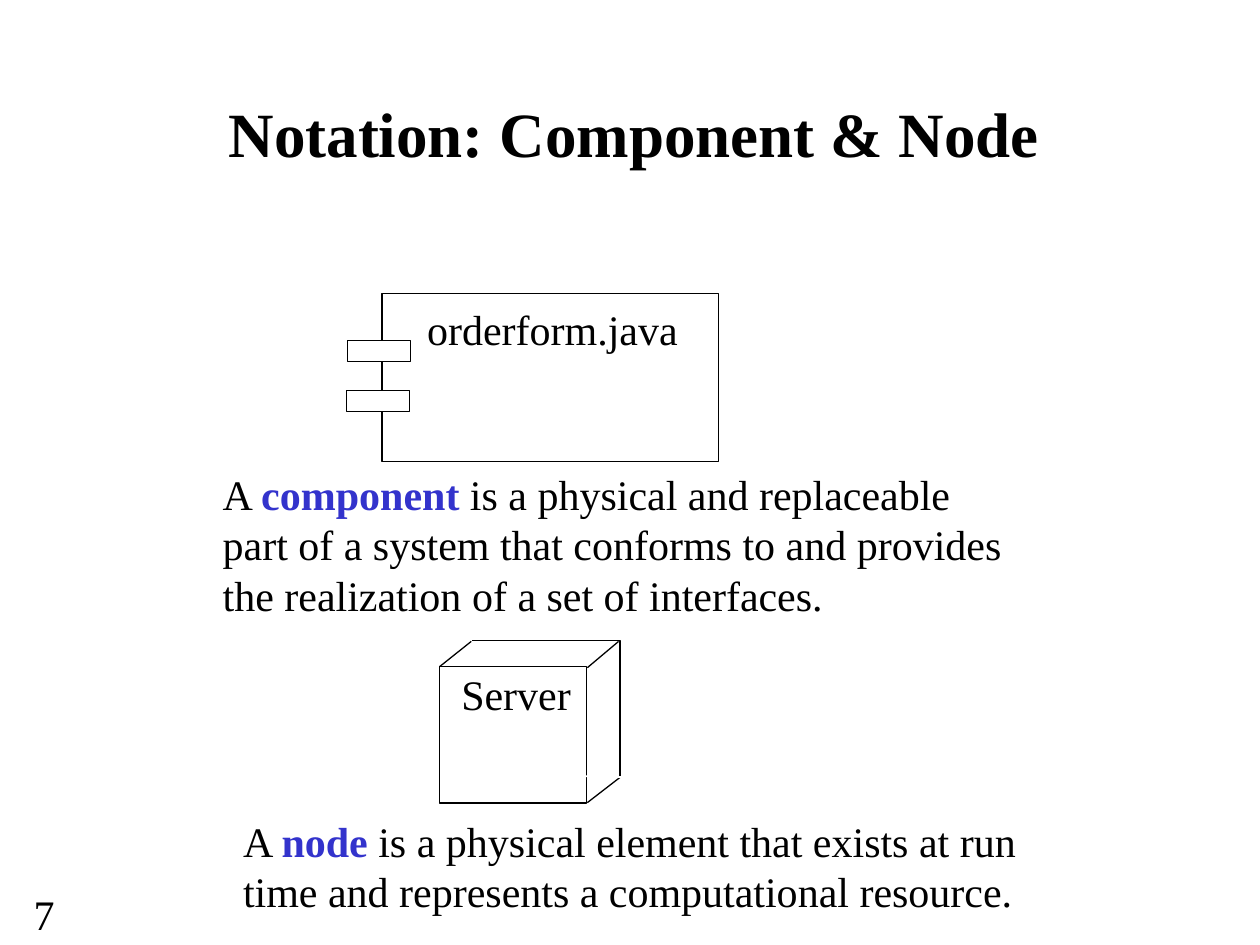
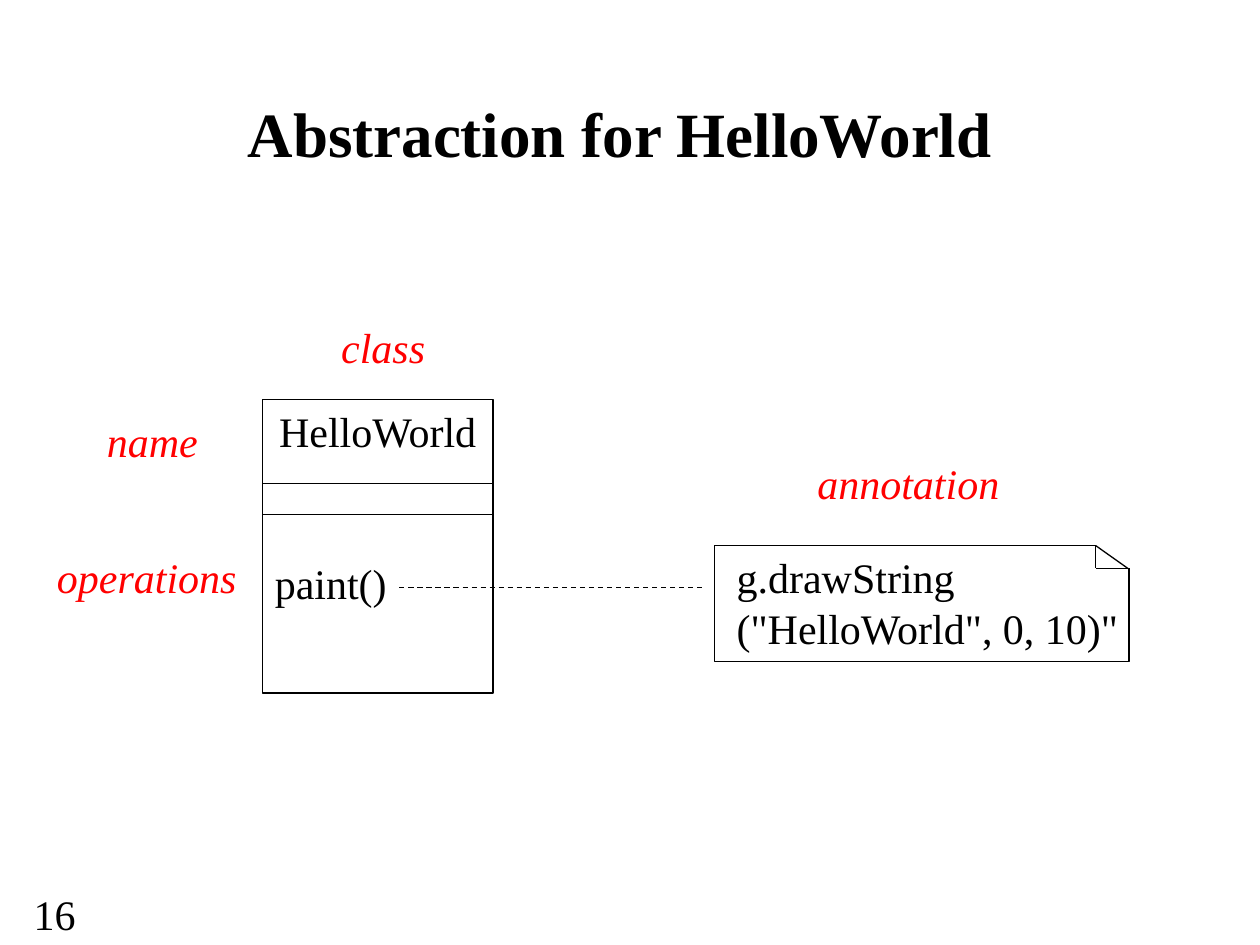
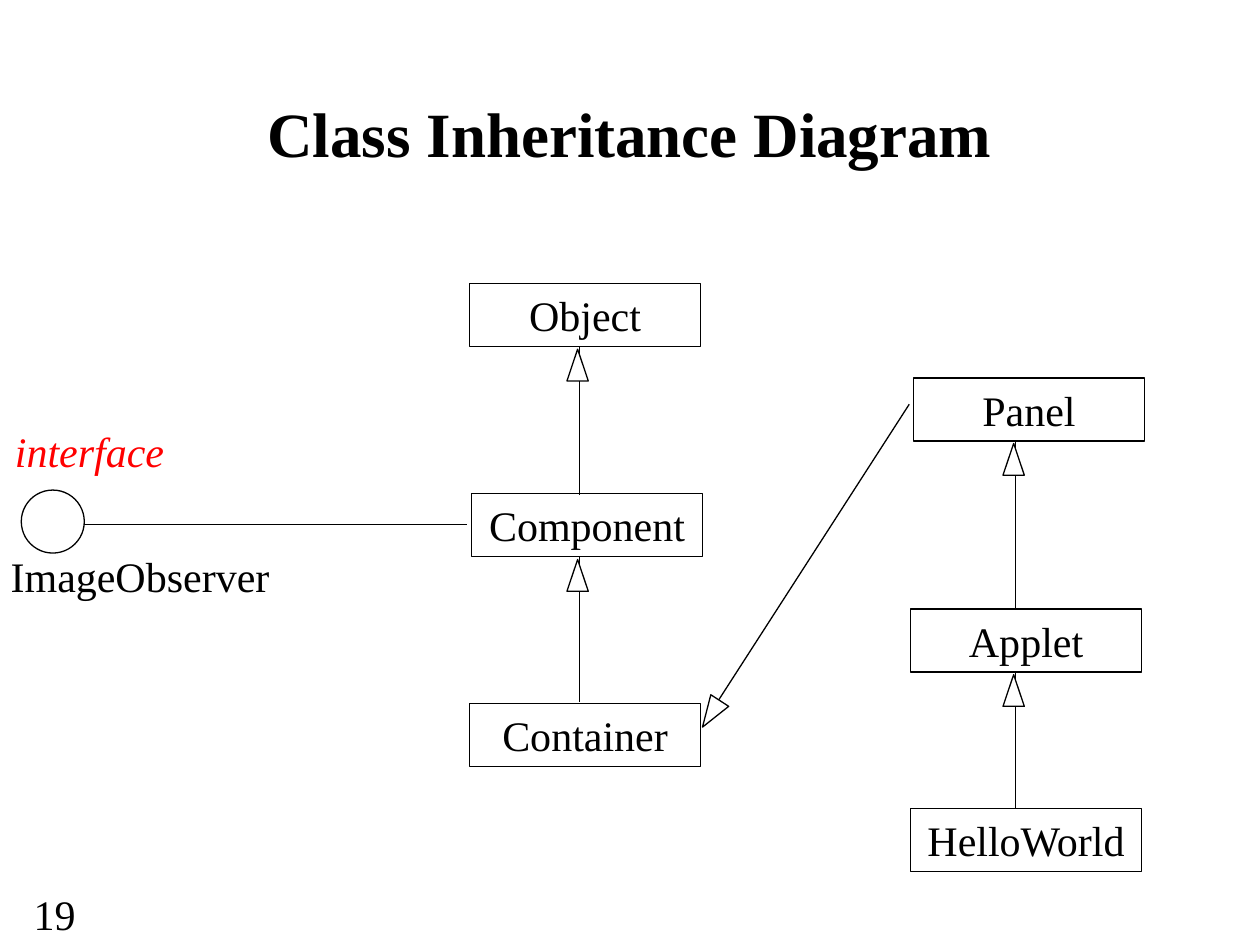
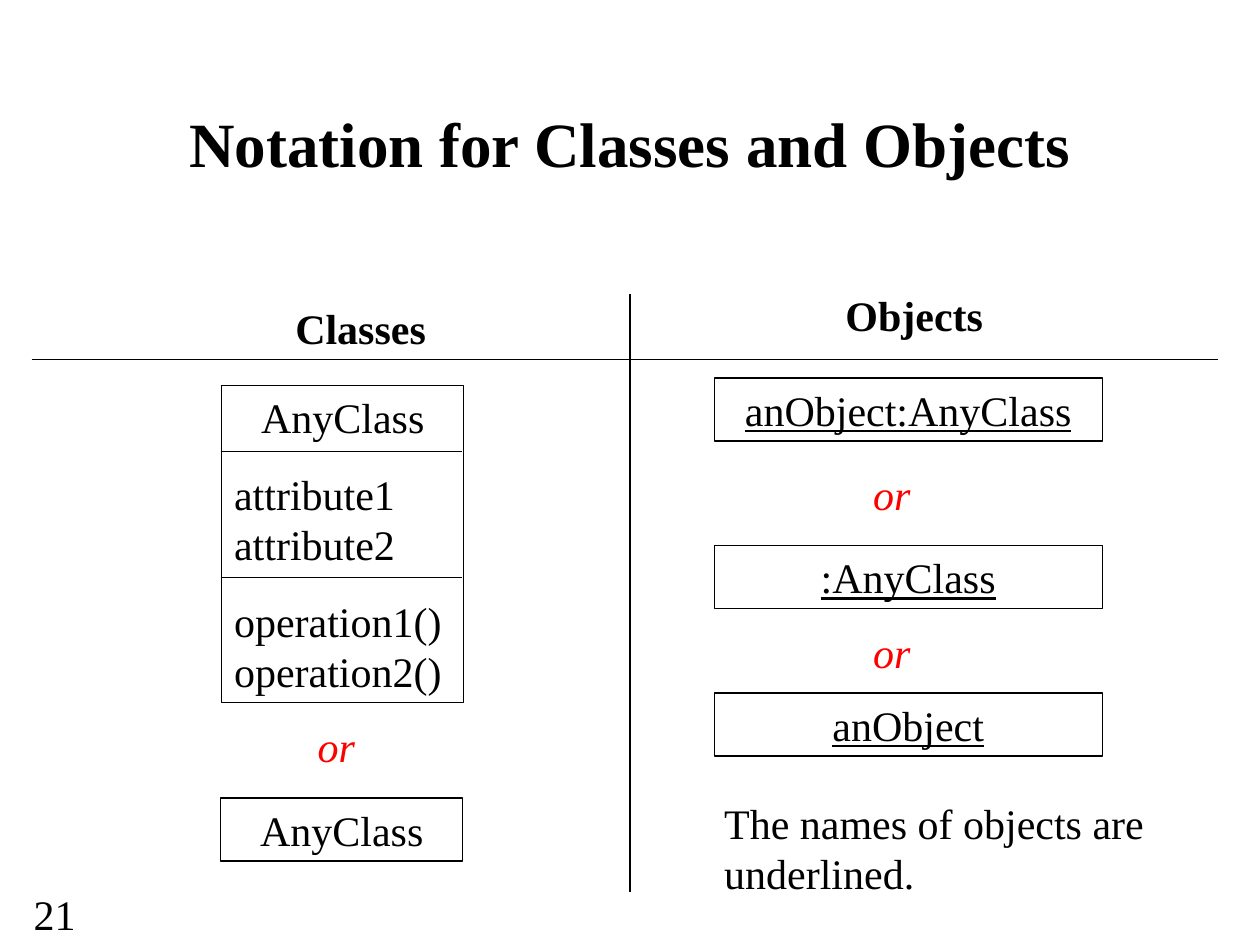
from dataclasses import dataclass

from lxml.etree import SubElement
from pptx import Presentation
from pptx.dml.color import RGBColor
from pptx.enum.dml import MSO_LINE
from pptx.enum.shapes import MSO_CONNECTOR, MSO_SHAPE
from pptx.enum.text import MSO_ANCHOR, PP_ALIGN
from pptx.oxml.ns import qn
from pptx.util import Cm, Pt

LEFT, MID = PP_ALIGN.LEFT, PP_ALIGN.CENTER


@dataclass(frozen=True)
class Theme:
    face: str = "Times New Roman"
    ink: RGBColor = RGBColor(0, 0, 0)
    paper: RGBColor = RGBColor(255, 255, 255)
    label: RGBColor = RGBColor(255, 0, 0)
    term: RGBColor = RGBColor(0x33, 0x33, 0xCC)
    head: float = 36
    body: float = 24
    gap: float = 15
    thin: float = 0.75


class Deck:
    """Holds the theme and the current slide; boxes are (left, top, width, height) in cm."""

    def __init__(self, theme):
        self.theme = theme
        self.show = Presentation()
        self.show.slide_width, self.show.slide_height = Cm(25.4), Cm(19.05)

    def page(self, title, number, left=1.9, top=1.07):
        self.slide = self.show.slides.add_slide(self.show.slide_layouts[6])
        self.text((0.43, 17.78, 1.7, 1.27), str(number), align=LEFT)
        head = self.text((left, top, 21.59, 3.18), title, size=self.theme.head, bold=True)
        head.text_frame.vertical_anchor = MSO_ANCHOR.MIDDLE

    def para(self, frame, text, align=MID, gap=None, size=None, color=None, **style):
        """Adds a paragraph; style holds font flags such as bold or italic."""
        first = not frame.text
        para = frame.paragraphs[0] if first else frame.add_paragraph()
        para.alignment = align
        if not first:
            para.space_before = Pt(self.theme.gap if gap is None else gap)
        font = para.font
        font.name, font.size = self.theme.face, Pt(size or self.theme.body)
        font.color.rgb = color or self.theme.ink
        for name, value in style.items():
            setattr(font, name, value)
        para.add_run().text = text
        return para

    def text(self, box, words, **style):
        shape = self.slide.shapes.add_textbox(*map(Cm, box))
        shape.text_frame.word_wrap = True
        self.para(shape.text_frame, words, **style)
        return shape

    def label(self, box, words):
        self.text(box, words, color=self.theme.label, italic=True)

    def define(self, box, term, rest):
        """Writes a sentence that starts with a coloured term."""
        para = self.text(box, "A ", align=LEFT).text_frame.paragraphs[0]
        run = para.add_run()
        run.text = term
        run.font.bold, run.font.color.rgb = True, self.theme.term
        para.add_run().text = rest

    def shape(self, box, kind=MSO_SHAPE.RECTANGLE, solid=False, edge=None):
        shape = self.slide.shapes.add_shape(kind, *map(Cm, box))
        shape.shadow.inherit = False
        if solid:
            shape.fill.solid()
            shape.fill.fore_color.rgb = self.theme.paper
        else:
            shape.fill.background()
        shape.line.color.rgb = edge or self.theme.ink
        shape.line.width = Pt(self.theme.thin)
        return shape

    def box(self, box, words, **style):
        """Draws an outlined box and returns its text frame."""
        frame = self.shape(box).text_frame
        frame.word_wrap = True
        frame.vertical_anchor = MSO_ANCHOR.TOP
        self.para(frame, words, **style)
        return frame

    def line(self, *ends, color=None, width=None, dash=None):
        line = self.slide.shapes.add_connector(MSO_CONNECTOR.STRAIGHT, *map(Cm, ends))
        line.line.color.rgb = color or self.theme.ink
        line.line.width = Pt(width or self.theme.thin)
        if dash:
            line.line.dash_style = dash
        SubElement(line._element.spPr, qn("a:effectLst"))

    def tip(self, left, top, turn=0):
        tip = self.shape((left, top, 0.43, 0.64), MSO_SHAPE.ISOSCELES_TRIANGLE, solid=True)
        tip.rotation = turn

    def derive(self, x, low, high):
        """Draws an upright inheritance arrow from child to parent."""
        self.line(x, low, x, high)
        self.tip(x - 0.25, high + 0.05)


def notation(deck):
    deck.page("Notation: Component & Node", 7, left=1.98)
    deck.shape((7.7, 5.92, 6.78, 3.39))
    for left, top in ((7.01, 6.86), (6.99, 7.87)):
        deck.shape((left, top, 1.27, 0.43), solid=True)
    deck.text((8.36, 5.99, 6.15, 1.27), "orderform.java", align=LEFT)
    deck.define((4.24, 9.32, 16.51, 3.3), "component",
                " is a physical and replaceable part of a system that conforms to "
                "and provides the realization of a set of interfaces.")
    paper = deck.theme.paper
    deck.shape((9.53, 12.91, 2.97, 2.75))
    deck.line(9.53, 12.93, 9.53, 13.61, color=paper, width=3)
    deck.shape((8.86, 13.44, 2.97, 2.75), solid=True)
    for ends in ((12.5, 15.67, 11.84, 16.18), (12.47, 12.93, 11.84, 13.46),
                 (8.86, 13.44, 9.5, 12.93)):
        deck.line(*ends)
    deck.text((8.18, 13.36, 4.45, 1.27), "Server")
    deck.define((4.65, 16.31, 16.71, 2.29), "node",
                " is a physical element that exists at run time and represents "
                "a computational resource.")
    deck.line(11.81, 15.65, 12.95, 15.67, color=paper, width=1)


def abstraction(deck):
    deck.page("Abstraction for HelloWorld", 16, left=1.7)
    frame = deck.box((5.29, 8.05, 4.65, 5.92), "HelloWorld")
    deck.para(frame, "paint()", align=LEFT, gap=58)
    for y in (9.74, 10.37):
        deck.line(5.29, y, 9.95, y)
    deck.shape((14.4, 11, 8.36, 2.34))
    deck.shape((22.1, 10.8, 0.84, 0.64), solid=True, edge=deck.theme.paper)
    left, right, top, low = 22.09, 22.74, 11, 11.46
    deck.line(left, top, right, low)
    deck.line(left, top, left, low)
    deck.line(left, low, right, low)
    deck.text((14.6, 11, 9.32, 2.29), 'g.drawString ("HelloWorld", 0, 10)"', align=LEFT)
    deck.line(8.05, 11.85, 14.18, 11.85, dash=MSO_LINE.DASH)
    for words, left, top, width in (("class", 5.08, 6.35, 5.29), ("name", 1.48, 8.26, 3.18),
                                    ("operations", 0, 11, 5.92),
                                    ("annotation", 14.18, 9.1, 8.26)):
        deck.label((left, top, width, 1.27), words)


def inheritance(deck):
    deck.page("Class Inheritance Diagram", 19)
    for words, left, top in (("Object", 9.47, 5.72), ("Component", 9.51, 9.95),
                             ("Container", 9.47, 14.18), ("Panel", 18.42, 7.62),
                             ("Applet", 18.36, 12.28), ("HelloWorld", 18.36, 16.3)):
        deck.box((left, top, 4.65, 1.27), words)
    for x, low, high in ((11.68, 9.98, 6.99), (11.68, 14.15, 11.23),
                         (20.47, 12.28, 8.89), (20.47, 16.3, 13.55)):
        deck.derive(x, low, high)
    deck.line(18.33, 8.15, 14.43, 14.2)
    deck.tip(14.12, 14.07, turn=213)
    deck.shape((0.43, 9.88, 1.27, 1.27), MSO_SHAPE.OVAL)
    deck.line(1.7, 10.58, 9.42, 10.58)
    deck.text((-0.25, 10.97, 6.15, 1.27), "ImageObserver")
    deck.label((0, 8.46, 3.61, 1.27), "interface")


def naming(deck):
    deck.page("Notation for Classes and Objects", 21, top=1.27)
    deck.line(12.7, 5.92, 12.7, 17.98, width=1)
    deck.text((3.56, 5.97, 7.42, 1.27), "Classes", bold=True)
    deck.text((16.31, 5.72, 4.24, 1.27), "Objects", bold=True)
    frame = deck.box((4.47, 7.77, 4.88, 6.4), "AnyClass")
    for kind in ("attribute{}", "operation{}()"):
        deck.para(frame, kind.format(1), align=LEFT)
        deck.para(frame, kind.format(2), align=LEFT, gap=0)
    for y in (9.1, 11.64):
        deck.line(4.45, y, 9.32, y)
    deck.box((4.45, 16.09, 4.88, 1.27), "AnyClass")
    deck.line(0.64, 7.24, 24.56, 7.24)
    for words, top in (("anObject:AnyClass", 7.62), (":AnyClass", 11), ("anObject", 13.97)):
        deck.box((14.4, top, 7.82, 1.27), words, underline=True)
    deck.text((14.35, 15.95, 9.32, 2.29), "The names of objects are underlined.", align=LEFT)
    for left, top in ((5.51, 14.4), (16.71, 12.5), (16.71, 9.32)):
        deck.label((left, top, 2.54, 1.27), "or")


def main():
    deck = Deck(Theme())
    for build in (notation, abstraction, inheritance, naming):
        build(deck)
    deck.show.save("out.pptx")


if __name__ == "__main__":
    main()
